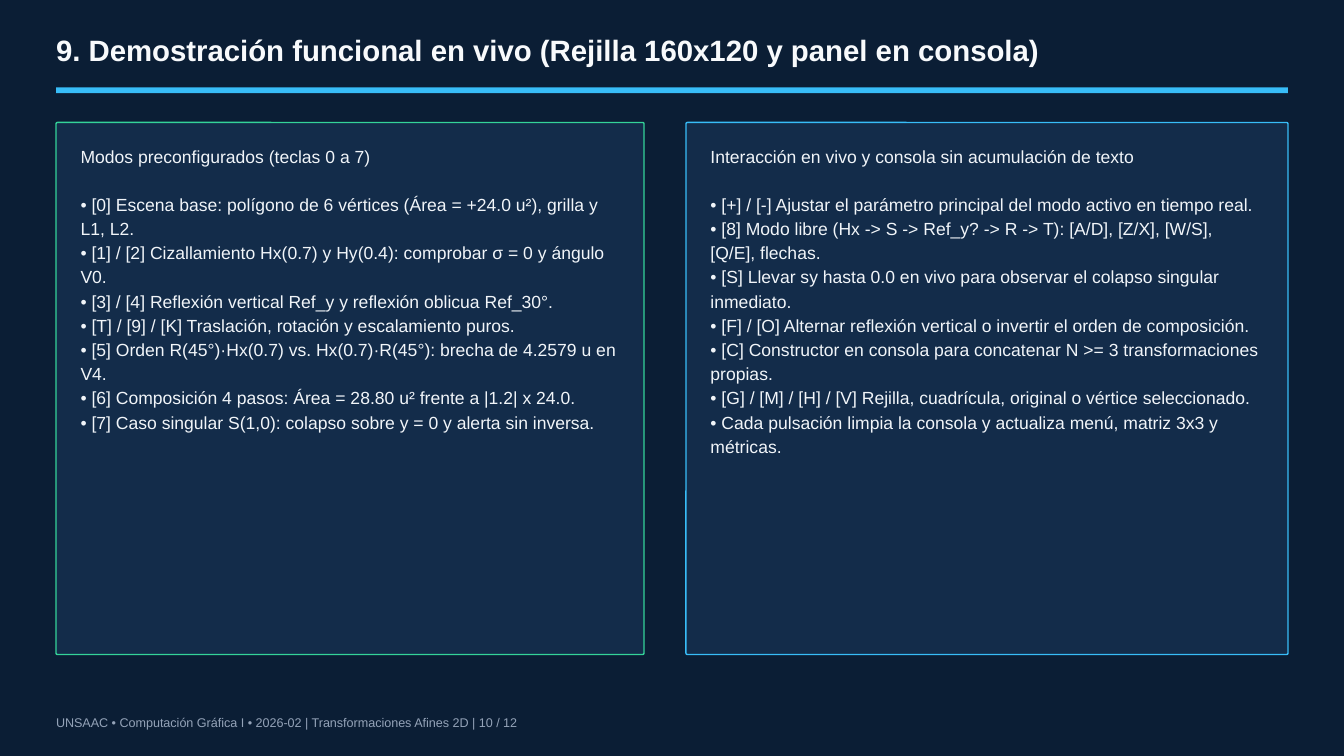
from pptx import Presentation
from pptx.dml.color import RGBColor
from pptx.enum.shapes import MSO_SHAPE
from pptx.util import Pt

NAVY = RGBColor(0x0B, 0x1E, 0x35)
PANEL = RGBColor(0x13, 0x2C, 0x4A)
SKY = RGBColor(0x38, 0xBD, 0xF8)
GREEN = RGBColor(0x34, 0xD3, 0x99)
WHITE = RGBColor(0xF8, 0xFA, 0xFC)
LIGHT = RGBColor(0xF1, 0xF5, 0xF9)
GREY = RGBColor(0x94, 0xA3, 0xB8)

LEFT, WIDTH = 60, 1320
PANEL_TOP, PANEL_HEIGHT = 131.25, 570
PADDING = 26.25
RADIUS = 1.5

prs = Presentation()
prs.slide_width, prs.slide_height = Pt(1440), Pt(810)
s = prs.slides.add_slide(prs.slide_layouts[6])
s.background.fill.solid()
s.background.fill.fore_color.rgb = NAVY


def add_box(kind, x, y, w, h, fill):
    sp = s.shapes.add_shape(kind, Pt(x), Pt(y), Pt(w), Pt(h))
    sp.shadow.inherit = False
    sp.fill.solid()
    sp.fill.fore_color.rgb = fill
    sp.line.fill.background()
    return sp


def add_text(x, y, w, h, lines, size, spacing, color, bold=False):
    tf = s.shapes.add_textbox(Pt(x), Pt(y), Pt(w), Pt(h)).text_frame
    tf.word_wrap = True
    tf.margin_left = tf.margin_top = tf.margin_right = tf.margin_bottom = 0
    for i, line in enumerate(lines):
        p = tf.paragraphs[0] if i == 0 else tf.add_paragraph()
        p.text = line
        p.line_spacing = Pt(spacing)
        p.font.name = "Arial"
        p.font.size = Pt(size)
        p.font.bold = bold
        p.font.color.rgb = color
    return tf


# Title and rule
add_box(MSO_SHAPE.RECTANGLE, LEFT, 93.75, WIDTH, 6, SKY)
add_text(LEFT, 28.1, WIDTH, 44.1,
         ["9. Demostración funcional en vivo (Rejilla 160x120 y panel en consola)"],
         31.5, 44.1, WHITE, bold=True)

# Panels: left, width, border, heading, items
panels = [
    (60, 630, GREEN, "Modos preconfigurados (teclas 0 a 7)", [
        "[0] Escena base: polígono de 6 vértices (Área = +24.0 u²), grilla y L1, L2.",
        "[1] / [2] Cizallamiento Hx(0.7) y Hy(0.4): comprobar σ = 0 y ángulo V0.",
        "[3] / [4] Reflexión vertical Ref_y y reflexión oblicua Ref_30°.",
        "[T] / [9] / [K] Traslación, rotación y escalamiento puros.",
        "[5] Orden R(45°)·Hx(0.7) vs. Hx(0.7)·R(45°): brecha de 4.2579 u en V4.",
        "[6] Composición 4 pasos: Área = 28.80 u² frente a |1.2| x 24.0.",
        "[7] Caso singular S(1,0): colapso sobre y = 0 y alerta sin inversa.",
    ]),
    (735, 645, SKY, "Interacción en vivo y consola sin acumulación de texto", [
        "[+] / [-] Ajustar el parámetro principal del modo activo en tiempo real.",
        "[8] Modo libre (Hx -> S -> Ref_y? -> R -> T): [A/D], [Z/X], [W/S], [Q/E], flechas.",
        "[S] Llevar sy hasta 0.0 en vivo para observar el colapso singular inmediato.",
        "[F] / [O] Alternar reflexión vertical o invertir el orden de composición.",
        "[C] Constructor en consola para concatenar N >= 3 transformaciones propias.",
        "[G] / [M] / [H] / [V] Rejilla, cuadrícula, original o vértice seleccionado.",
        "Cada pulsación limpia la consola y actualiza menú, matriz 3x3 y métricas.",
    ]),
]
for x, w, border, heading, items in panels:
    sp = add_box(MSO_SHAPE.ROUNDED_RECTANGLE, x, PANEL_TOP, w, PANEL_HEIGHT, PANEL)
    sp.adjustments[0] = RADIUS / PANEL_HEIGHT
    sp.line.color.rgb = border
    sp.line.width = Pt(1.5)
    tf = add_text(x + PADDING, 152.6, w - 2 * PADDING, 320,
                  [heading] + [f"• {item}" for item in items], 18.8, 25.9, LIGHT)
    tf.paragraphs[0].space_after = Pt(25.9)

# Footer
add_text(LEFT, 763.2, WIDTH, 18.9,
         ["UNSAAC • Computación Gráfica I • 2026-02 | Transformaciones Afines 2D | 10 / 12"],
         13.5, 18.9, GREY)

prs.save("out.pptx")
